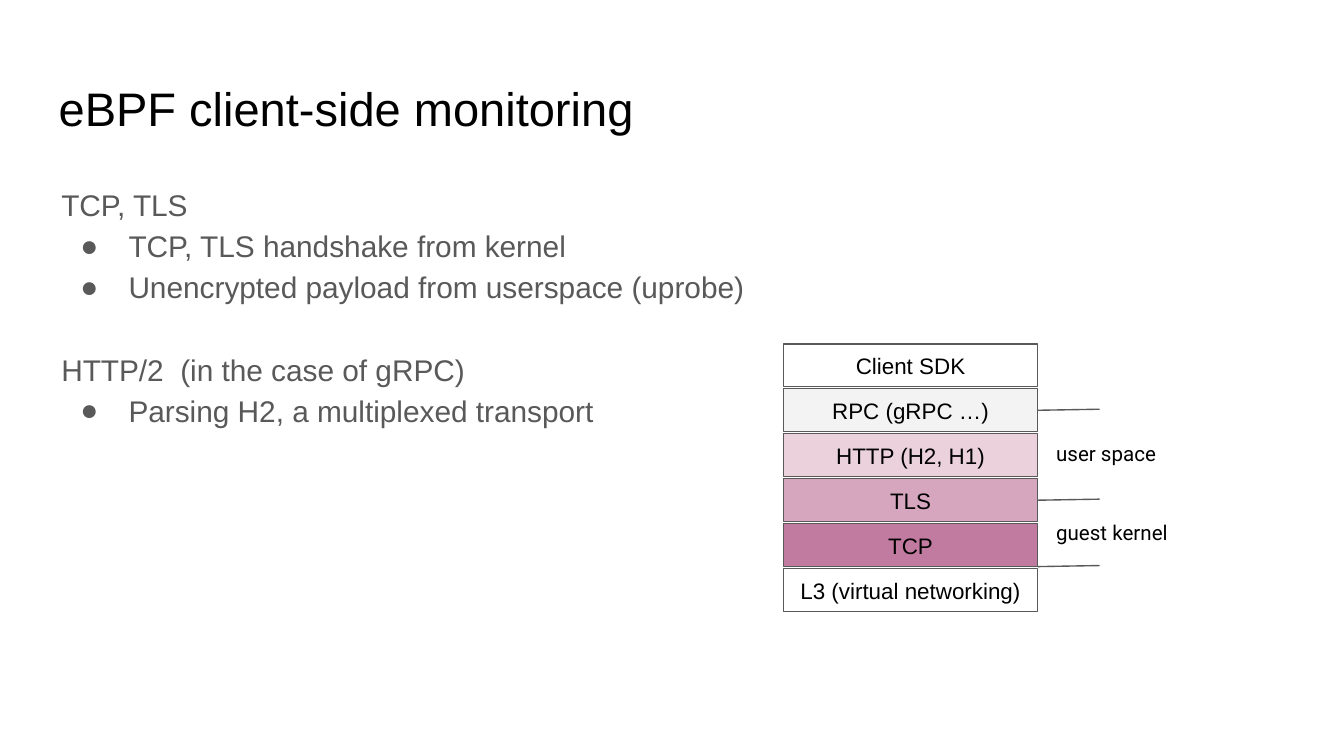
from lxml import etree
from pptx import Presentation
from pptx.dml.color import RGBColor
from pptx.enum.shapes import MSO_CONNECTOR, MSO_SHAPE
from pptx.enum.text import MSO_ANCHOR, PP_ALIGN
from pptx.oxml.ns import qn
from pptx.util import Cm, Pt

RECTANGLE = MSO_SHAPE.RECTANGLE
STRAIGHT = MSO_CONNECTOR.STRAIGHT
TOP, MIDDLE = MSO_ANCHOR.TOP, MSO_ANCHOR.MIDDLE
LEFT, CENTER = PP_ALIGN.LEFT, PP_ALIGN.CENTER

BLACK = RGBColor(0x00, 0x00, 0x00)
GRAY = RGBColor(0x59, 0x59, 0x59)
WHITE = RGBColor(0xFF, 0xFF, 0xFF)
PALE_GRAY = RGBColor(0xF3, 0xF3, 0xF3)
PALE_PINK = RGBColor(0xEA, 0xD1, 0xDC)
PINK = RGBColor(0xD5, 0xA6, 0xBD)
MAUVE = RGBColor(0xC2, 0x7B, 0xA0)

TITLE = "eBPF client-side monitoring"
TOPICS = [
    ("TCP, TLS", ["TCP, TLS handshake from kernel",
                  "Unencrypted payload from userspace (uprobe)"]),
    ("HTTP/2  (in the case of gRPC)", ["Parsing H2, a multiplexed transport"]),
]
LAYERS = [
    ("Client SDK", WHITE),
    ("RPC (gRPC …)", PALE_GRAY),
    ("HTTP (H2, H1)", PALE_PINK),
    ("TLS", PINK),
    ("TCP", MAUVE),
    ("L3 (virtual networking)", WHITE),
]
BOUNDARIES = [(1, 0.5), (3, 0.5), (4, 1)]
SPACES = [("user space", 8.1), ("guest kernel", 9.6)]

STACK_LEFT, STACK_TOP = 14.81, 6.5
LAYER_WIDTH, LAYER_HEIGHT, LAYER_PITCH = 4.8, 0.81, 0.85
MARK_LENGTH, MARK_RISE = 1.17, 0.02
INSET = Cm(0.25)

TITLE_FONT = {"name": "Arial", "size": Pt(25.2)}
BODY_FONT = {"name": "Arial", "size": Pt(16)}
LAYER_FONT = {"name": "Arial", "size": Pt(12)}
SPACE_FONT = {"name": "Roboto", "size": Pt(11)}


def apply(target, values):
    for name, value in values.items():
        setattr(target, name, value)


def prepare(frame, anchor=TOP):
    apply(frame, {"word_wrap": True, "vertical_anchor": anchor,
                  "margin_left": INSET, "margin_right": INSET,
                  "margin_top": INSET, "margin_bottom": INSET})
    return frame


def write(paragraph, text, font, color=BLACK, align=LEFT):
    paragraph.alignment = align
    run = paragraph.add_run()
    run.text = text
    apply(run.font, font)
    run.font.color.rgb = color


def add_text_frame(slide, left, top, width, height):
    box = slide.shapes.add_textbox(Cm(left), Cm(top), Cm(width), Cm(height))
    return prepare(box.text_frame)


def add_bullet(paragraph):
    properties = paragraph._p.get_or_add_pPr()
    properties.set("marL", str(Cm(1.27)))
    properties.set("indent", str(Cm(-0.91)))
    color = etree.SubElement(properties, qn("a:buClr"))
    etree.SubElement(color, qn("a:srgbClr"), val=str(GRAY))
    etree.SubElement(properties, qn("a:buFont"), typeface="Arial")
    etree.SubElement(properties, qn("a:buChar"), char="●")


def add_topics(slide):
    frame = add_text_frame(slide, 0.91, 3.18, 24.28, 8.43)
    for number, (heading, points) in enumerate(TOPICS):
        paragraph = frame.add_paragraph() if number else frame.paragraphs[0]
        paragraph.line_spacing = 1.15
        if number:
            paragraph.space_before = Pt(22)
        write(paragraph, heading, BODY_FONT, GRAY)
        for point in points:
            paragraph = frame.add_paragraph()
            paragraph.line_spacing = 1.15
            add_bullet(paragraph)
            write(paragraph, point, BODY_FONT, GRAY)


def outline(line):
    line.color.rgb = GRAY
    line.width = Pt(0.75)


def add_stack(slide):
    for row, (label, color) in enumerate(LAYERS):
        layer = slide.shapes.add_shape(
            RECTANGLE, Cm(STACK_LEFT), Cm(STACK_TOP + row * LAYER_PITCH),
            Cm(LAYER_WIDTH), Cm(LAYER_HEIGHT))
        layer.shadow.inherit = False
        layer.fill.solid()
        layer.fill.fore_color.rgb = color
        outline(layer.line)
        frame = prepare(layer.text_frame, MIDDLE)
        write(frame.paragraphs[0], label, LAYER_FONT, align=CENTER)


def add_boundaries(slide):
    start = STACK_LEFT + LAYER_WIDTH
    for row, share in BOUNDARIES:
        level = STACK_TOP + row * LAYER_PITCH + share * LAYER_HEIGHT
        mark = slide.shapes.add_connector(
            STRAIGHT, Cm(start), Cm(level),
            Cm(start + MARK_LENGTH), Cm(level - MARK_RISE))
        outline(mark.line)
        etree.SubElement(mark._element.spPr, qn("a:effectLst"))
    for label, top in SPACES:
        frame = add_text_frame(slide, start + 0.1, top, 2.84, 1)
        write(frame.paragraphs[0], label, SPACE_FONT)


def main():
    deck = Presentation()
    deck.slide_width, deck.slide_height = Cm(25.4), Cm(14.29)
    slide = deck.slides.add_slide(deck.slide_layouts[6])
    title = add_text_frame(slide, 0.86, 1.25, 23.67, 1.6)
    write(title.paragraphs[0], TITLE, TITLE_FONT)
    add_topics(slide)
    add_stack(slide)
    add_boundaries(slide)
    deck.save("out.pptx")


if __name__ == "__main__":
    main()
